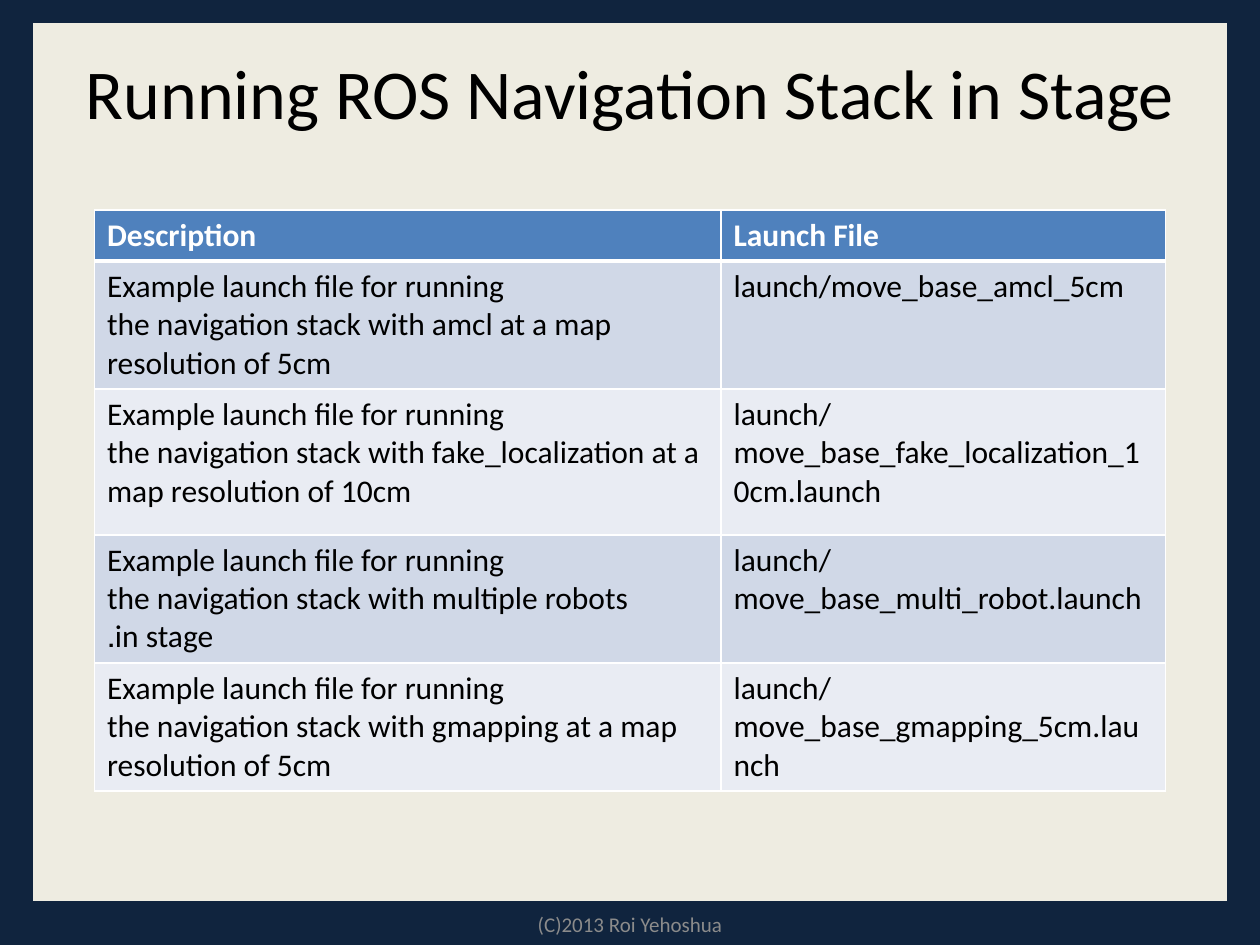
from dataclasses import dataclass

from lxml.etree import SubElement
from pptx import Presentation
from pptx.dml.color import RGBColor as RGB
from pptx.enum.shapes import MSO_SHAPE as Preset
from pptx.enum.text import MSO_ANCHOR as Anchor, PP_ALIGN as Align
from pptx.oxml.ns import qn
from pptx.util import Pt


@dataclass(frozen=True)
class Theme:
    font: str = "Calibri"
    navy: str = "10243E"
    cream: str = "EEECE1"
    black: str = "000000"
    white: str = "FFFFFF"
    gray: str = "8B8B8B"
    header: str = "4F81BD"
    bands: tuple = ("D0D8E7", "E9ECF3")
    title_size: int = 40
    table_size: int = 18
    footer_size: int = 12
    thin: float = 0.96
    thick: float = 3


NBSP = chr(160)
STACK = NBSP.join(("the", "navigation", "stack"))
INTRO = f"Example launch file for running {STACK} with"
ROWS = [
    ("Description", "Launch File"),
    (f"{INTRO}{NBSP}amcl{NBSP}at a map resolution of 5cm",
     "launch/move_base_amcl_5cm"),
    (f"{INTRO}{NBSP}fake_localization{NBSP}at a map resolution of 10cm",
     "launch/move_base_fake_localization_10cm.launch"),
    (f"{INTRO} multiple robots in{NBSP}stage.",
     "launch/move_base_multi_robot.launch"),
    (f"{INTRO}{NBSP}gmapping at a map resolution of 5cm",
     "launch/move_base_gmapping_5cm.launch"),
]
COLUMN_WIDTHS = (358, 254)
ROW_HEIGHTS = (29.2, 73.2, 83.2, 73.2, 73.2)


class SlideBuilder:
    def __init__(self, page, theme):
        self.page = page
        self.theme = theme

    def background(self, color):
        fill = self.page.background.fill
        fill.solid()
        fill.fore_color.rgb = RGB.from_string(color)

    def panel(self, left, top, width, height):
        box = self.page.shapes.add_shape(
            Preset.RECTANGLE, Pt(left), Pt(top), Pt(width), Pt(height))
        box.shadow.inherit = False
        box.fill.solid()
        box.fill.fore_color.rgb = RGB.from_string(self.theme.cream)
        box.line.color.rgb = RGB.from_string(self.theme.navy)
        box.line.width = Pt(2)

    def style(self, para, size, color, bold=False):
        font = para.font
        font.name, font.size, font.bold = self.theme.font, Pt(size), bold
        font.color.rgb = RGB.from_string(color)

    def centered_text(self, text, left, top, width, height, size, color):
        box = self.page.shapes.add_textbox(
            Pt(left), Pt(top), Pt(width), Pt(height))
        frame = box.text_frame
        frame.word_wrap = True
        frame.vertical_anchor = Anchor.MIDDLE
        para = frame.paragraphs[0]
        para.text = text
        para.alignment = Align.CENTER
        self.style(para, size, color)

    def cell_borders(self, cell, top, bottom):
        thin = self.theme.thin
        props = cell._tc.get_or_add_tcPr()
        widths = {"a:lnL": thin, "a:lnR": thin, "a:lnT": top, "a:lnB": bottom}
        for tag, width in widths.items():
            line = SubElement(props, qn(tag), w=str(Pt(width)))
            fill = SubElement(line, qn("a:solidFill"))
            SubElement(fill, qn("a:srgbClr"), val=self.theme.white)

    def cell(self, cell, text, row):
        theme = self.theme
        is_header = row == 0
        self.cell_borders(cell,
                          top=theme.thick if row == 1 else theme.thin,
                          bottom=theme.thick if is_header else theme.thin)
        fill = theme.header if is_header else theme.bands[(row - 1) % 2]
        cell.fill.solid()
        cell.fill.fore_color.rgb = RGB.from_string(fill)
        para = cell.text_frame.paragraphs[0]
        para.text = text
        para.alignment = Align.LEFT
        para._p.get_or_add_pPr().set("rtl", "1")
        self.style(para, theme.table_size,
                   theme.white if is_header else theme.black, is_header)

    def table(self, rows, left, top, widths, heights):
        table = self.page.shapes.add_table(
            len(rows), len(widths), Pt(left), Pt(top),
            Pt(sum(widths)), Pt(sum(heights))).table
        for column, width in zip(table.columns, widths):
            column.width = Pt(width)
        for row, height in zip(table.rows, heights):
            row.height = Pt(height)
        for row, texts in enumerate(rows):
            for column, text in enumerate(texts):
                self.cell(table.cell(row, column), text, row)


def main():
    deck = Presentation()
    deck.slide_width, deck.slide_height = Pt(720), Pt(540)
    theme = Theme()
    builder = SlideBuilder(deck.slides.add_slide(deck.slide_layouts[6]), theme)
    builder.background(theme.navy)
    builder.panel(18, 12, 684, 504)
    builder.centered_text("Running ROS Navigation Stack in Stage",
                          18, 15, 684, 75, theme.title_size, theme.black)
    builder.centered_text("(C)2013 Roi Yehoshua",
                          246, 516, 228, 24, theme.footer_size, theme.gray)
    builder.table(ROWS, 54, 120, COLUMN_WIDTHS, ROW_HEIGHTS)
    deck.save("out.pptx")


if __name__ == "__main__":
    main()
